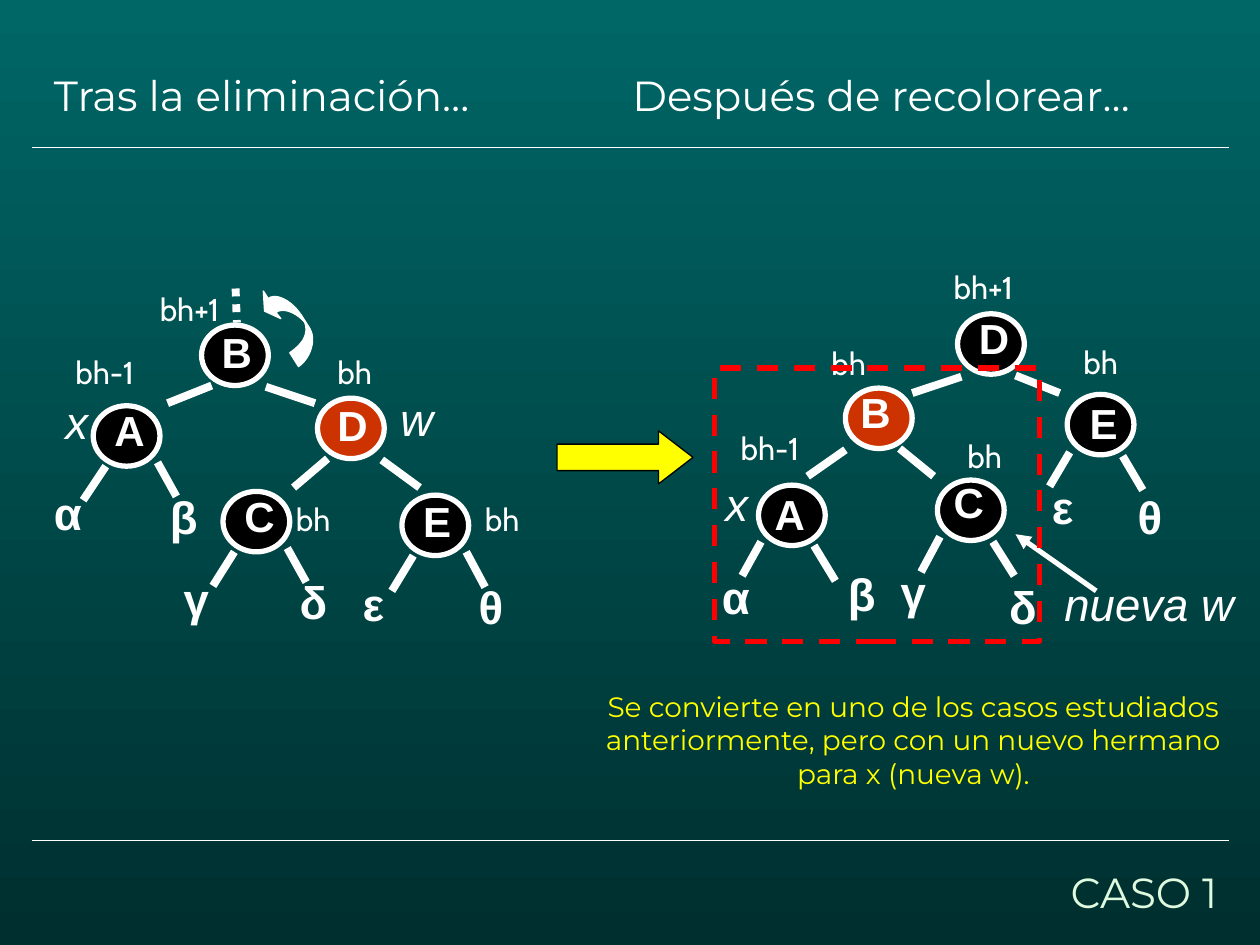
import pptx
import pptx.util
import pptx.dml.color
import pptx.enum.dml
import pptx.enum.shapes
import pptx.enum.text
import pptx.oxml.ns
from lxml import etree

RGB = pptx.dml.color.RGBColor
WHITE, BLACK = RGB(255, 255, 255), RGB(0, 0, 0)
RED, FRAME = RGB(0xCC, 0x33, 0), RGB(255, 0, 0)
YELLOW, MINT = RGB(255, 255, 0), RGB(0xDF, 0xFA, 0xDE)
TOP, BASE = RGB(0, 0x66, 0x66), RGB(0, 0x2F, 0x2F)

KIND = pptx.enum.shapes.MSO_SHAPE
DASH = pptx.enum.dml.MSO_LINE
ALIGN = pptx.enum.text.PP_ALIGN

COLS, ROWS = 10, 7.5
CELL = pptx.util.Inches(1)

# letter, column and row of the circle, column and row of the letter, fill
NODES = [
    ("E", 3.19, 3.93, 3.26, 3.92, BLACK), ("C", 1.77, 3.9, 1.84, 3.88, BLACK),
    ("D", 2.52, 3.16, 2.58, 3.16, RED), ("B", 1.6, 2.58, 1.66, 2.58, BLACK),
    ("A", 0.74, 3.22, 0.81, 3.2, BLACK),
    ("B", 6.71, 3.08, 6.73, 3.05, RED), ("C", 7.44, 3.81, 7.47, 3.77, BLACK),
    ("A", 6.02, 3.85, 6.05, 3.86, BLACK), ("D", 7.6, 2.49, 7.67, 2.47, BLACK),
    ("E", 8.47, 3.13, 8.55, 3.14, BLACK),
]
EDGES = [
    (2.11, 3.07, 2.5, 3.2), (1.68, 3.06, 1.33, 3.2),
    (3.7, 4.38, 3.85, 4.66), (3.28, 4.41, 3.11, 4.69),
    (3.03, 3.65, 3.33, 3.87), (2.6, 3.64, 2.33, 3.87),
    (2.28, 4.35, 2.43, 4.62), (1.86, 4.38, 1.69, 4.65),
    (1.25, 3.67, 1.4, 3.94), (0.84, 3.7, 0.66, 3.97),
    (7.63, 2.99, 7.24, 3.12), (8.06, 2.98, 8.41, 3.12),
    (6.04, 4.3, 5.89, 4.57), (6.46, 4.33, 6.63, 4.61),
    (6.71, 3.57, 6.41, 3.78), (7.14, 3.56, 7.41, 3.78),
    (7.46, 4.26, 7.31, 4.54), (7.88, 4.3, 8.05, 4.57),
    (8.49, 3.59, 8.33, 3.86), (8.91, 3.62, 9.07, 3.89),
]
LEAVES = [
    ("ε", 2.78, 4.52), ("θ", 3.7, 4.55), ("γ", 1.36, 4.48), ("δ", 2.28, 4.51),
    ("α", 0.33, 3.8), ("β", 1.25, 3.83), ("β", 6.63, 4.44), ("α", 5.63, 4.47),
    ("δ", 7.91, 4.55), ("γ", 7.05, 4.43), ("ε", 8.25, 3.75), ("θ", 8.93, 3.83),
]
MARKS = [
    ("x", 0.42, 3.12, 0.5), ("w", 3.08, 3.09, 0.58),
    ("x", 5.66, 3.77, 0.5), ("nueva w", 8.35, 4.56, 1.74),
]
HEIGHTS = [
    ("bh-1", 0.5, 2.75), ("bh", 2.58, 2.75), ("bh+1", 1.17, 2.25),
    ("bh", 2.25, 3.92), ("bh-1", 5.78, 3.36), ("bh", 6.5, 2.68),
    ("bh+1", 7.47, 2.08), ("bh", 7.58, 3.42), ("bh", 8.5, 2.67),
    ("bh", 3.75, 3.92),
]
# Turn arrow: a start point, then line ends (2 numbers) or curves (6 numbers)
SHAFT = [(2.37, 2.91), (2.47, 2.84, 2.51, 2.69, 2.46, 2.61), (2.39, 2.5),
         (2.48, 2.64, 2.4, 2.73, 2.3, 2.8)]
POINT = [(2.39, 2.5), (2.32, 2.39, 2.19, 2.32, 2.13, 2.37), (2.09, 2.31),
         (2.1, 2.47), (2.23, 2.53), (2.19, 2.48),
         (2.26, 2.43, 2.39, 2.5, 2.46, 2.61)]


def grid(*cells):
    """Turn columns and rows of the grid into lengths."""
    return [round(n * CELL) for n in cells]


def write(slide, text, x, y, w, h, size, face="Arial", tint=WHITE,
          bold=False, slant=False, space=1, align=ALIGN.LEFT):
    frame = slide.shapes.add_textbox(*grid(x, y, w, h)).text_frame
    frame.word_wrap = True
    frame.auto_size = pptx.enum.text.MSO_AUTO_SIZE.SHAPE_TO_FIT_TEXT
    frame.text = text
    par = frame.paragraphs[0]
    par.alignment, par.line_spacing = align, space
    font = par.runs[0].font
    font.size, font.name = pptx.util.Pt(size), face
    font.bold, font.italic = bold, slant
    font.color.rgb = tint


def paint(shape, fill, line, width):
    shape.shadow.inherit = False
    if fill is None:
        shape.fill.background()
    else:
        shape.fill.solid()
        shape.fill.fore_color.rgb = fill
    shape.line.color.rgb = line
    shape.line.width = pptx.util.Pt(width)


def draw(slide, kind, x, y, w, h, fill, line, width):
    shape = slide.shapes.add_shape(kind, *grid(x, y, w, h))
    paint(shape, fill, line, width)
    return shape


def link(slide, ends, width, dash=None, head=False):
    line = slide.shapes.add_connector(
        pptx.enum.shapes.MSO_CONNECTOR.STRAIGHT, *grid(*ends))
    line.line.color.rgb = WHITE
    line.line.width = pptx.util.Pt(width)
    if dash:
        line.line.dash_style = dash
    qn = pptx.oxml.ns.qn
    if head:
        etree.SubElement(line.line._get_or_add_ln(), qn("a:tailEnd"),
                         type="triangle")
    etree.SubElement(line._element.spPr, qn("a:effectLst"))


def bend(start, curve, steps=12):
    """List points along a cubic curve that leaves from start."""
    a, b, c, d = start, curve[:2], curve[2:4], curve[4:]
    ways = [n / steps for n in range(1, steps + 1)]
    return [tuple((1 - t) ** 3 * a[k] + 3 * (1 - t) ** 2 * t * b[k]
                  + 3 * (1 - t) * t ** 2 * c[k] + t ** 3 * d[k]
                  for k in (0, 1)) for t in ways]


def trace(group, parts):
    spots = [parts[0]]
    for part in parts[1:]:
        spots += bend(spots[-1], part) if len(part) == 6 else [part]
    pen = group.shapes.build_freeform(*grid(*spots[0]))
    pen.add_line_segments([grid(*spot) for spot in spots[1:]], close=True)
    paint(pen.convert_to_shape(), WHITE, WHITE, 0.75)


def node(slide, name, x, y, left, top, fill):
    draw(slide, KIND.OVAL, x, y, 0.53, 0.48, fill, WHITE, 3)
    write(slide, name, left, top, 0.48, 0.47, 24, bold=True, space=0.93)


def back(slide):
    fill = slide.background.fill
    fill.gradient()
    fill.gradient_angle = 270
    for stop, tint, place in zip(fill.gradient_stops, (TOP, BASE), (0, 1)):
        stop.color.rgb, stop.position = tint, place


def main():
    deck = pptx.Presentation()
    deck.slide_width, deck.slide_height = grid(COLS, ROWS)
    slide = deck.slides.add_slide(deck.slide_layouts[6])
    back(slide)

    for item in NODES:
        node(slide, *item)
    for ends in EDGES:
        link(slide, ends, 4.5)
    link(slide, (1.87, 2.29, 1.88, 2.56), 4.5, dash=DASH.ROUND_DOT)
    for name, x, y in LEAVES:
        write(slide, name, x, y, 0.42, 0.54, 26, bold=True)
    for name, x, y, w in MARKS:
        write(slide, name, x, y, w, 0.51, 26, slant=True, space=0.93)
    turn = slide.shapes.add_group_shape()
    for parts in (SHAFT, POINT):
        trace(turn, parts)
    link(slide, (8.7, 4.69, 8.06, 4.24), 2.89, head=True)
    arrow = draw(slide, KIND.RIGHT_ARROW, 4.42, 3.42, 1.08, 0.42,
                 YELLOW, BLACK, 0.75)
    arrow.adjustments[1] = 0.65
    for name, x, y in HEIGHTS:
        write(slide, name, x, y, 1, 0.4, 18, "Cabin")

    write(slide, "Tras la eliminación…", 0.33, 0.5, 4.08, 0.5, 24, "Montserrat")
    write(slide, "Después de recolorear…", 4.92, 0.5, 4.75, 0.5, 24, "Montserrat")
    for y in (1.17, 6.67):
        link(slide, (0.25, y, COLS - 0.25, y), 0.75)
    write(slide, "Se convierte en uno de los casos estudiados anteriormente, "
          "pero con un nuevo hermano para x (nueva w).",
          4.5, 5.42, 5.5, 0.9, 16, "Montserrat", YELLOW, align=ALIGN.CENTER)
    write(slide, "CASO 1", 5.68, 6.83, 4.08, 0.5, 24, "Montserrat", MINT,
          align=ALIGN.RIGHT)
    frame = draw(slide, KIND.RECTANGLE, 5.67, 2.92, 2.58, 2.17, None, FRAME, 3)
    frame.line.dash_style = DASH.DASH
    deck.save("out.pptx")


if __name__ == "__main__":
    main()
